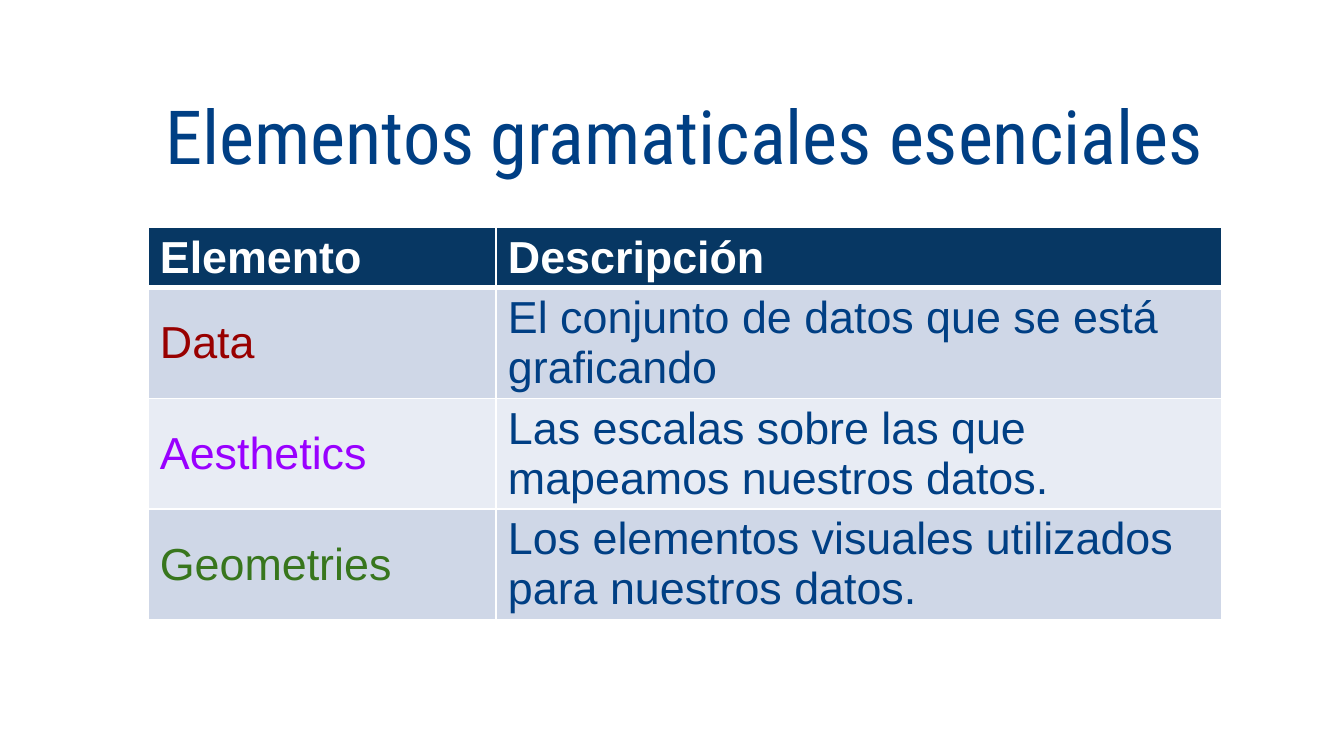
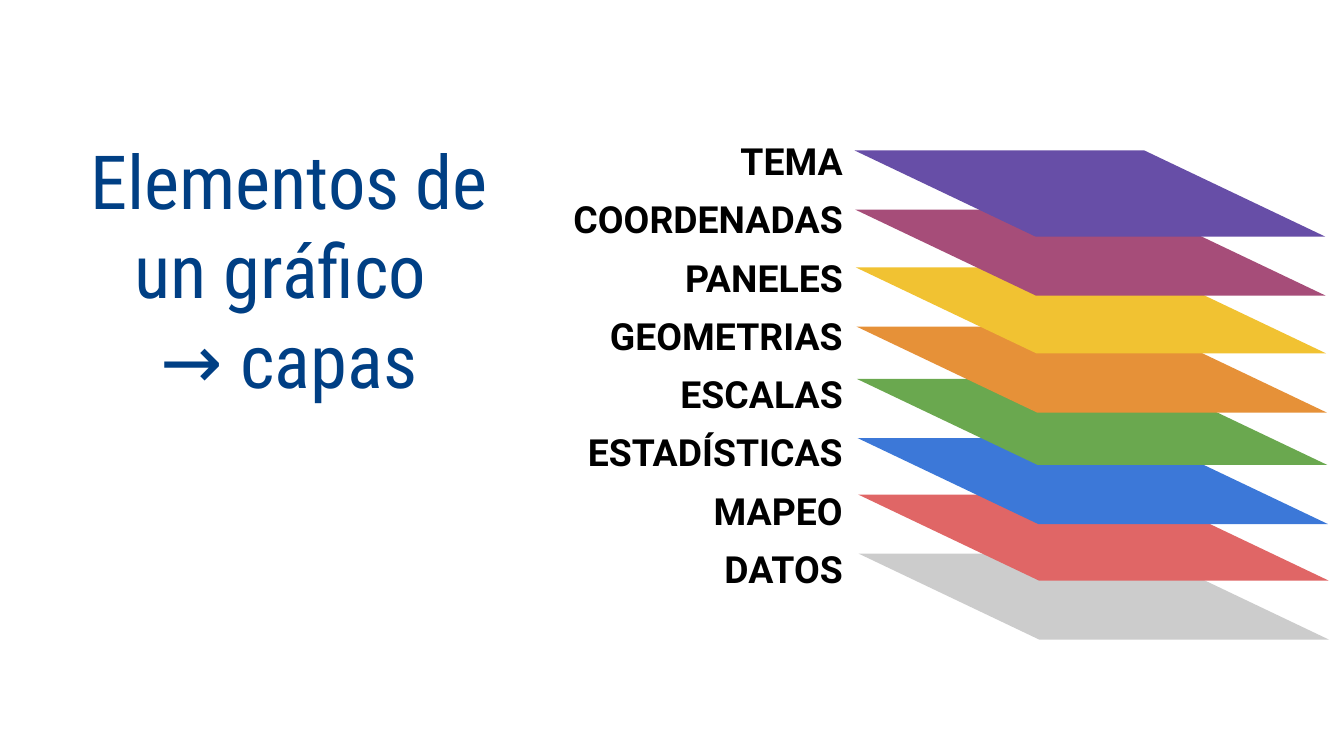
from lxml import etree
from pptx import Presentation
from pptx.dml.color import RGBColor
from pptx.enum.shapes import MSO_SHAPE
from pptx.enum.text import MSO_ANCHOR, MSO_AUTO_SIZE, PP_ALIGN
from pptx.oxml.ns import qn
from pptx.util import Inches, Pt

PARALLELOGRAM = MSO_SHAPE.PARALLELOGRAM
TOP, MIDDLE = MSO_ANCHOR.TOP, MSO_ANCHOR.MIDDLE
LEFT, CENTER, RIGHT = PP_ALIGN.LEFT, PP_ALIGN.CENTER, PP_ALIGN.RIGHT
GROW = MSO_AUTO_SIZE.SHAPE_TO_FIT_TEXT

COLORS = {
    "blue": "003F84", "navy": "073763", "white": "FFFFFF", "black": "000000",
    "band_dark": "CFD7E7", "band_light": "E8ECF4",
    "data": "980000", "aesthetics": "9900FF", "geometries": "38761D",
    "purple": "674EA7", "plum": "A64D79", "yellow": "F1C232",
    "orange": "E69138", "green": "6AA84F", "azure": "3C78D8",
    "red": "E06666", "gray": "CCCCCC",
}

# Content: paragraphs of a title are lists of (text, format)
TITLE_GAP = (" ", {"font": "Calibri", "size": 38, "bold": True})
GRAMMAR_TITLE = [[("Elementos", {}), TITLE_GAP, ("gramaticales esenciales", {})]]
LAYERS_TITLE = [[("Elementos", {}), TITLE_GAP, ("de un gráfico ", {})],
                [("→ capas", {})]]

HEADER = ("Elemento", "Descripción")
ELEMENTS = [
    ("Data", "data", "El conjunto de datos que se está graficando"),
    ("Aesthetics", "aesthetics", "Las escalas sobre las que mapeamos nuestros datos."),
    ("Geometries", "geometries", "Los elementos visuales utilizados para nuestros datos."),
]
COL_WIDTHS = (2.59, 5.4)
ROW_HEIGHT = 0.3

# Layers from top to bottom: label, colour, top of the sheet
LAYERS = [
    ("TEMA", "purple", 1.12), ("COORDENADAS", "plum", 1.56),
    ("PANELES", "yellow", 1.99), ("GEOMETRIAS", "orange", 2.43),
    ("ESCALAS", "green", 2.82), ("ESTADÍSTICAS", "azure", 3.26),
    ("MAPEO", "red", 3.68), ("DATOS", "gray", 4.12),
]
SHEET_LEFT, SHEET_DRIFT = 6.36, 0.03
SHEET_SIZE = (3.5, 0.64)
SHEET_SLANT = 2.1


def rgb(name):
    return RGBColor.from_string(COLORS[name])


def write(tf, paragraphs, font="Arial", size=24, color="blue", bold=False,
          align=LEFT, spacing=None):
    """Fill a text frame; a paragraph is a string or a list of (text, format)."""
    for i, runs in enumerate(paragraphs):
        p = tf.paragraphs[0] if i == 0 else tf.add_paragraph()
        p.alignment = align
        if spacing:
            p.line_spacing = spacing
        for text, fmt in [(runs, {})] if isinstance(runs, str) else runs:
            r = p.add_run()
            r.text = text
            r.font.name = fmt.get("font", font)
            r.font.size = Pt(fmt.get("size", size))
            r.font.bold = fmt.get("bold", bold)
            r.font.color.rgb = rgb(color)


def add_box(slide, box, paragraphs, anchor=TOP, inset=(0.1, 0.1), **fmt):
    tf = slide.shapes.add_textbox(*map(Inches, box)).text_frame
    tf.word_wrap = True
    tf.vertical_anchor = anchor
    tf.margin_left = tf.margin_right = Inches(inset[0])
    tf.margin_top = tf.margin_bottom = Inches(inset[1])
    write(tf, paragraphs, **fmt)
    return tf


def add_title(slide, box, paragraphs):
    add_box(slide, box, paragraphs, anchor=MIDDLE, inset=(0.09, 0.04),
            font="Roboto Condensed", size=40, align=CENTER)


def set_borders(cell, **widths):
    """White cell borders, placed before the fill as the schema asks."""
    tcPr = cell._tc.get_or_add_tcPr()
    for i, side in enumerate("LRTB"):
        ln = etree.Element(qn(f"a:ln{side}"), w=str(Pt(widths.get(side, 1))))
        fill = etree.SubElement(ln, qn("a:solidFill"))
        etree.SubElement(fill, qn("a:srgbClr"), val=COLORS["white"])
        tcPr.insert(i, ln)


def fill_cell(cell, text, fill, anchor=TOP, borders=None, **fmt):
    cell.fill.solid()
    cell.fill.fore_color.rgb = rgb(fill)
    cell.vertical_anchor = anchor
    cell.margin_left = cell.margin_right = Inches(0.09)
    cell.margin_top = cell.margin_bottom = Inches(0.04)
    write(cell.text_frame, [text], **fmt)
    set_borders(cell, **(borders or {}))


def add_elements_table(slide, left, top):
    rows = len(ELEMENTS) + 1
    table = slide.shapes.add_table(
        rows, len(COL_WIDTHS), Inches(left), Inches(top),
        Inches(sum(COL_WIDTHS)), Inches(rows * ROW_HEIGHT)).table
    for column, width in zip(table.columns, COL_WIDTHS):
        column.width = Inches(width)
    for col, text in enumerate(HEADER):
        fill_cell(table.cell(0, col), text, "navy", borders={"B": 3},
                  color="white", bold=True)
    for row, (name, color, description) in enumerate(ELEMENTS, 1):
        band = "band_dark" if row % 2 else "band_light"
        borders = {"T": 3} if row == 1 else {}
        fill_cell(table.cell(row, 0), name, band, anchor=MIDDLE,
                  borders=borders, color=color)
        fill_cell(table.cell(row, 1), description, band, borders=borders)


def add_sheet(slide, left, top, color):
    sp = slide.shapes.add_shape(PARALLELOGRAM, Inches(left), Inches(top),
                                *map(Inches, SHEET_SIZE))
    sp.adjustments[0] = SHEET_SLANT
    sp._element.spPr.find(qn("a:xfrm")).set("flipH", "1")
    sp.shadow.inherit = False
    sp.fill.solid()
    sp.fill.fore_color.rgb = rgb(color)
    sp.line.fill.background()


def new_slide(prs):
    slide = prs.slides.add_slide(prs.slide_layouts[6])
    slide.background.fill.solid()
    slide.background.fill.fore_color.rgb = rgb("white")
    return slide


def main():
    # Widescreen page, 16:9
    prs = Presentation()
    prs.slide_width = Inches(10)
    prs.slide_height = Inches(10 * 9 / 16)

    # Slide 1: table of grammar elements
    slide = new_slide(prs)
    add_elements_table(slide, 1.1, 1.69)
    add_title(slide, (0.93, 0.69, 8.32, 0.63), GRAMMAR_TITLE)

    # Slide 2: stack of layers, drawn from the bottom up
    slide = new_slide(prs)
    step = SHEET_DRIFT / (len(LAYERS) - 1)
    for i, (_, color, top) in reversed(list(enumerate(LAYERS))):
        add_sheet(slide, SHEET_LEFT + i * step, top, color)
    labels = add_box(slide, (4.13, 0.83, 2.24, 3.6), [label for label, *_ in LAYERS],
                     font="Roboto", size=20, color="black", bold=True,
                     align=RIGHT, spacing=1.3)
    labels.auto_size = GROW
    add_title(slide, (0.39, 0.27, 3.52, 3.46), LAYERS_TITLE)

    prs.save("out.pptx")


if __name__ == "__main__":
    main()
